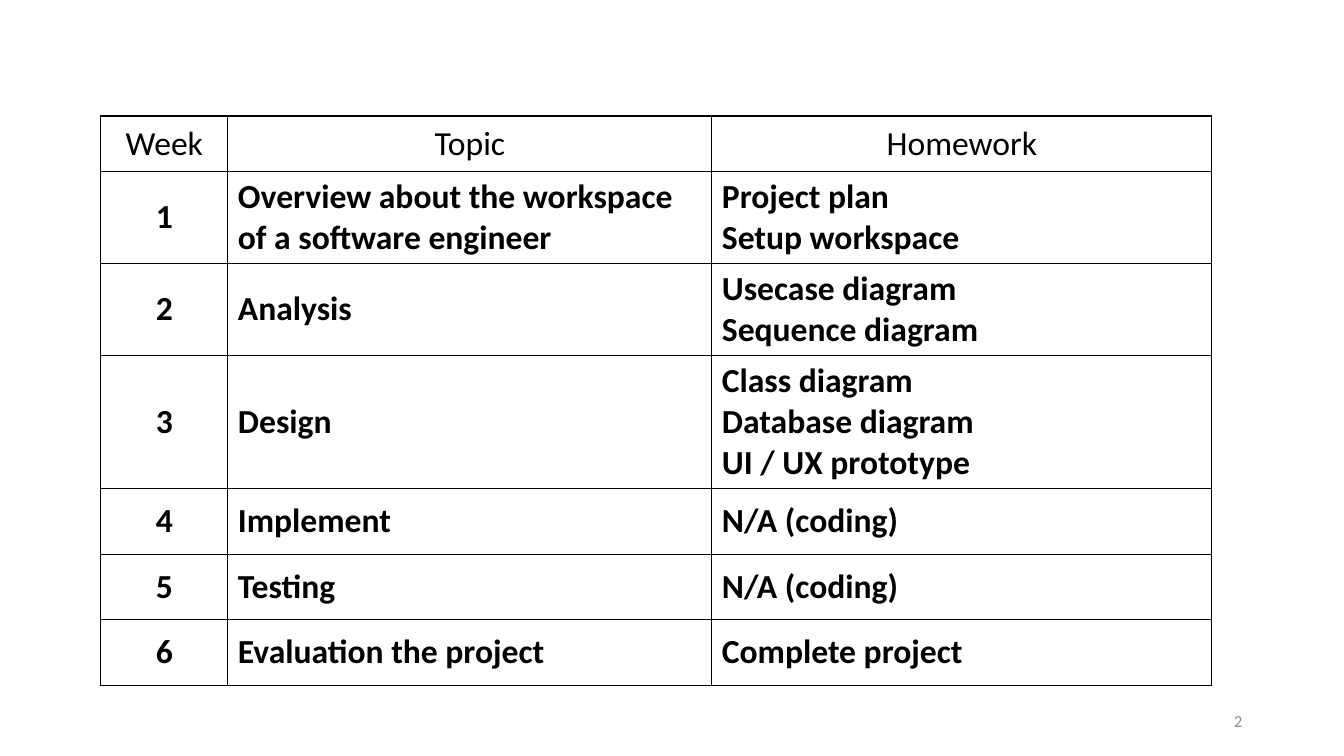
"""Build the weekly course plan slide with its topics and homework."""
from typing import NamedTuple

from lxml.etree import SubElement
from pptx import Presentation
from pptx.dml.color import RGBColor
from pptx.enum.text import MSO_ANCHOR as Anchor, PP_ALIGN as Align
from pptx.oxml.ns import qn
from pptx.util import Inches, Pt

BLACK = RGBColor(0x00, 0x00, 0x00)
GREY = RGBColor(0x8C, 0x8C, 0x8C)
FONT = "Calibri"
COLUMN_WIDTHS = (1.26, 4.8, 4.96)
HEADINGS = ("Week", "Topic", "Homework")


class Week(NamedTuple):
    topic: str
    homework: str
    height: float = 0.65


WEEKS = (
    Week("Overview about the workspace of a software engineer",
         "Project plan\nSetup workspace", 0.71),
    Week("Analysis", "Usecase diagram\nSequence diagram"),
    Week("Design", "Class diagram\nDatabase diagram\nUI / UX prototype"),
    Week("Implement", "N/A (coding)"),
    Week("Testing", "N/A (coding)"),
    Week("Evaluation the project", "Complete project"),
)


def write_text(frame, text: str, align: Align, size: int, color: RGBColor, bold: bool = False) -> None:
    frame.text = text
    font_format = {"name": FONT, "size": Pt(size), "bold": bold}
    for para in frame.paragraphs:
        para.alignment = align
        for span in para.runs:
            for name, value in font_format.items():
                setattr(span.font, name, value)
            span.font.color.rgb = color


def add_borders(cell) -> None:
    properties = cell._tc.get_or_add_tcPr()
    for index, side in enumerate(("lnL", "lnR", "lnT", "lnB")):
        line = SubElement(properties, qn(f"a:{side}"), w=str(Pt(1)))
        fill = SubElement(line, qn("a:solidFill"))
        SubElement(fill, qn("a:srgbClr"), val=str(BLACK))
        properties.insert(index, line)


def add_plan(page) -> None:
    rows = [HEADINGS] + [(str(number), week.topic, week.homework)
                         for number, week in enumerate(WEEKS, 1)]
    heights = [0.55] + [week.height for week in WEEKS]
    table = page.shapes.add_table(
        len(rows), len(HEADINGS), Inches(1), Inches(1.15),
        Inches(sum(COLUMN_WIDTHS)), Inches(sum(heights))).table
    table.first_row = table.horz_banding = False
    for column, width in zip(table.columns, COLUMN_WIDTHS):
        column.width = Inches(width)
    for row_index, (texts, height) in enumerate(zip(rows, heights)):
        table.rows[row_index].height = Inches(height)
        for column_index, text in enumerate(texts):
            cell = table.cell(row_index, column_index)
            centred = row_index == 0 or column_index == 0
            cell.vertical_anchor = Anchor.MIDDLE
            cell.fill.background()
            add_borders(cell)
            write_text(cell.text_frame, text, Align.CENTER if centred else Align.LEFT,
                       24, BLACK, bold=row_index > 0)


def add_page_number(page) -> None:
    box = page.shapes.add_textbox(Inches(9.42), Inches(6.95), Inches(3), Inches(0.4))
    box.text_frame.word_wrap = True
    box.text_frame.vertical_anchor = Anchor.MIDDLE
    write_text(box.text_frame, "2", Align.RIGHT, 12, GREY)


def main() -> None:
    deck = Presentation()
    deck.slide_width, deck.slide_height = Inches(13.33), Inches(7.5)
    page = deck.slides.add_slide(deck.slide_layouts[6])
    add_plan(page)
    add_page_number(page)
    deck.save("out.pptx")


if __name__ == "__main__":
    main()
